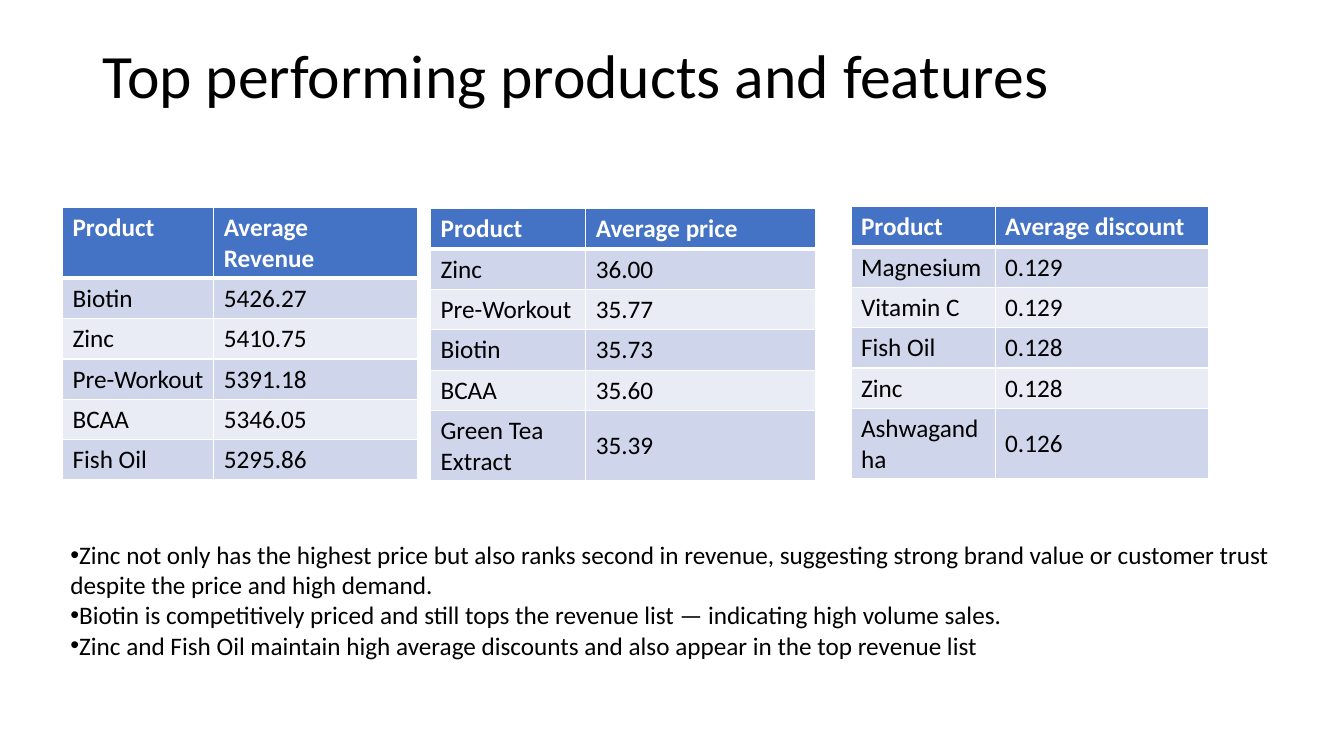
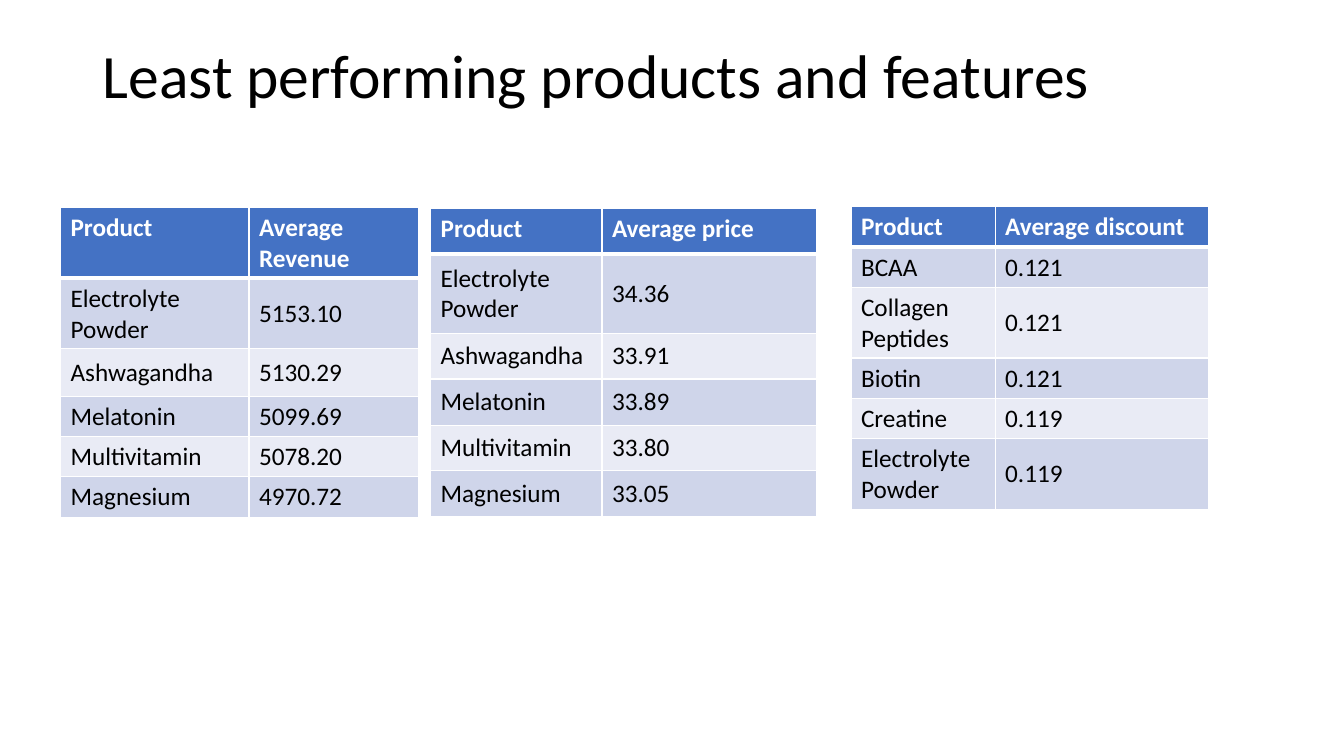
from dataclasses import dataclass

from lxml.etree import SubElement
from pptx import Presentation
from pptx.dml.color import RGBColor
from pptx.enum.text import MSO_ANCHOR
from pptx.oxml.ns import qn
from pptx.slide import Slide
from pptx.table import _Cell
from pptx.text.text import TextFrame, _Paragraph
from pptx.util import Emu, Pt

EMU_PER_PX = 9144
FONT = "Calibri"
TITLE_SIZE = 44
BODY_SIZE = 18
COLORS = {
    "text": "000000",
    "white": "FFFFFF",
    "header": "4472C4",
    "odd_row": "CFD5EA",
    "even_row": "E9EBF5",
}
THIN, THICK = 1, 3
ONE_LINE, TWO_LINES = 40, 70


@dataclass(frozen=True)
class Box:
    left: int
    top: int
    width: int
    height: int


@dataclass(frozen=True)
class Ranking:
    """A two-column table of products and one measure."""

    left: int
    top: int
    column_widths: tuple[int, int]
    row_heights: tuple[int, ...]
    measure: str
    entries: tuple[tuple[str, str], ...]


@dataclass(frozen=True)
class Page:
    title: str
    rankings: tuple[Ranking, ...]
    findings: tuple[str, ...] = ()


TITLE_BOX = Box(92, 40, 1150, 145)
FINDINGS_BOX = Box(60, 530, 1214, 220)
REVENUE, PRICE, DISCOUNT = "Average\nRevenue", "Average price", "Average discount"
LAST_ROW_TALL = (ONE_LINE,) * 5 + (TWO_LINES,)

PAGES = (
    Page(
        "Top performing products and features",
        (
            Ranking(62, 206, (150, 202), (TWO_LINES,) + (ONE_LINE,) * 5, REVENUE, (
                ("Biotin", "5426.27"),
                ("Zinc", "5410.75"),
                ("Pre-Workout", "5391.18"),
                ("BCAA", "5346.05"),
                ("Fish Oil", "5295.86"),
            )),
            Ranking(427, 207, (154, 228), LAST_ROW_TALL, PRICE, (
                ("Zinc", "36.00"),
                ("Pre-Workout", "35.77"),
                ("Biotin", "35.73"),
                ("BCAA", "35.60"),
                ("Green Tea Extract", "35.39"),
            )),
            Ranking(844, 205, (143, 212), LAST_ROW_TALL, DISCOUNT, (
                ("Magnesium", "0.129"),
                ("Vitamin C", "0.129"),
                ("Fish Oil", "0.128"),
                ("Zinc", "0.128"),
                ("Ashwagandha", "0.126"),
            )),
        ),
        (
            "Zinc not only has the highest price but also ranks second in revenue, "
            "suggesting strong brand value or customer trust despite the price and high demand.",
            "Biotin is competitively priced and still tops the revenue list — "
            "indicating high volume sales.",
            "Zinc and Fish Oil maintain high average discounts and also appear "
            "in the top revenue list",
        ),
    ),
    Page(
        "Least performing products and features",
        (
            Ranking(60, 206, (187, 168), (TWO_LINES, TWO_LINES, 47) + (ONE_LINE,) * 3, REVENUE, (
                ("Electrolyte Powder", "5153.10"),
                ("Ashwagandha", "5130.29"),
                ("Melatonin", "5099.69"),
                ("Multivitamin", "5078.20"),
                ("Magnesium", "4970.72"),
            )),
            Ranking(427, 207, (170, 213), (45, 79, 45, 46, 45, 46), PRICE, (
                ("Electrolyte Powder", "34.36"),
                ("Ashwagandha", "33.91"),
                ("Melatonin", "33.89"),
                ("Multivitamin", "33.80"),
                ("Magnesium", "33.05"),
            )),
            Ranking(844, 205, (143, 212),
                    (ONE_LINE, ONE_LINE, TWO_LINES, ONE_LINE, ONE_LINE, TWO_LINES), DISCOUNT, (
                ("BCAA", "0.121"),
                ("Collagen Peptides", "0.121"),
                ("Biotin", "0.121"),
                ("Creatine", "0.119"),
                ("Electrolyte Powder", "0.119"),
            )),
        ),
    ),
)


def px(length: int) -> Emu:
    return Emu(length * EMU_PER_PX)


def color(name: str) -> RGBColor:
    return RGBColor.from_string(COLORS[name])


def add_text(paragraph: _Paragraph, text: str, size: int,
             color_name: str = "text", bold: bool = False) -> None:
    """Add one run per line of text, with line breaks between them."""
    for index, line in enumerate(text.split("\n")):
        if index:
            paragraph.add_line_break()
        run = paragraph.add_run()
        run.text = line
        run.font.name = FONT
        run.font.size = Pt(size)
        run.font.bold = bold
        run.font.color.rgb = color(color_name)


def add_text_frame(slide: Slide, box: Box) -> TextFrame:
    shape = slide.shapes.add_textbox(px(box.left), px(box.top), px(box.width), px(box.height))
    shape.text_frame.word_wrap = True
    return shape.text_frame


def add_title(slide: Slide, title: str) -> None:
    paragraph = add_text_frame(slide, TITLE_BOX).paragraphs[0]
    paragraph.line_spacing = 0.9
    add_text(paragraph, title, TITLE_SIZE)


def add_findings(slide: Slide, findings: tuple[str, ...]) -> None:
    frame = add_text_frame(slide, FINDINGS_BOX)
    for index, finding in enumerate(findings):
        paragraph = frame.add_paragraph() if index else frame.paragraphs[0]
        properties = paragraph._p.get_or_add_pPr()
        SubElement(properties, qn("a:buFont"), typeface="Arial")
        SubElement(properties, qn("a:buChar"), char="•")
        add_text(paragraph, finding, BODY_SIZE)


def set_borders(cell: _Cell, top: int, bottom: int) -> None:
    properties = cell._tc.get_or_add_tcPr()
    for side, width in (("L", THIN), ("R", THIN), ("T", top), ("B", bottom)):
        line = SubElement(properties, qn(f"a:ln{side}"), w=str(Pt(width)))
        fill = SubElement(line, qn("a:solidFill"))
        SubElement(fill, qn("a:srgbClr"), val=COLORS["white"])


def fill_cell(cell: _Cell, text: str, row: int) -> None:
    """Style a cell by its row: a header first, then alternating bands."""
    is_header = row == 0
    set_borders(cell, THICK if row == 1 else THIN, THICK if is_header else THIN)
    cell.fill.solid()
    band = "odd_row" if row % 2 else "even_row"
    cell.fill.fore_color.rgb = color("header" if is_header else band)
    cell.vertical_anchor = MSO_ANCHOR.TOP if is_header else MSO_ANCHOR.MIDDLE
    add_text(cell.text_frame.paragraphs[0], text, BODY_SIZE,
             "white" if is_header else "text", is_header)


def add_ranking(slide: Slide, ranking: Ranking) -> None:
    rows = (("Product", ranking.measure), *ranking.entries)
    table = slide.shapes.add_table(
        len(rows), len(ranking.column_widths), px(ranking.left), px(ranking.top),
        px(sum(ranking.column_widths)), px(sum(ranking.row_heights)),
    ).table
    for column, width in zip(table.columns, ranking.column_widths):
        column.width = px(width)
    for row_index, (texts, height) in enumerate(zip(rows, ranking.row_heights)):
        table.rows[row_index].height = px(height)
        for column_index, text in enumerate(texts):
            fill_cell(table.cell(row_index, column_index), text, row_index)


def main() -> None:
    presentation = Presentation()
    presentation.slide_width = px(1333)
    presentation.slide_height = px(750)
    blank_layout = presentation.slide_layouts[6]
    for page in PAGES:
        slide = presentation.slides.add_slide(blank_layout)
        add_title(slide, page.title)
        for ranking in page.rankings:
            add_ranking(slide, ranking)
        if page.findings:
            add_findings(slide, page.findings)
    presentation.save("out.pptx")


if __name__ == "__main__":
    main()
